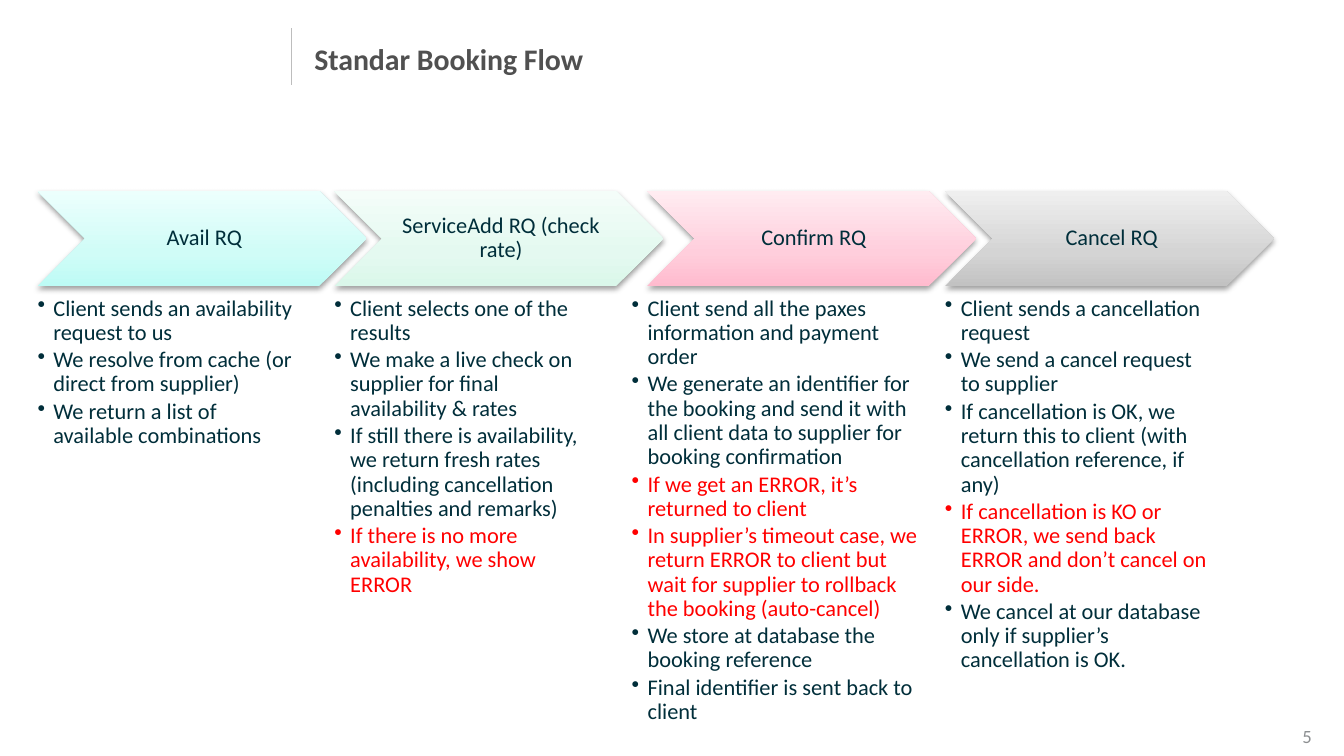
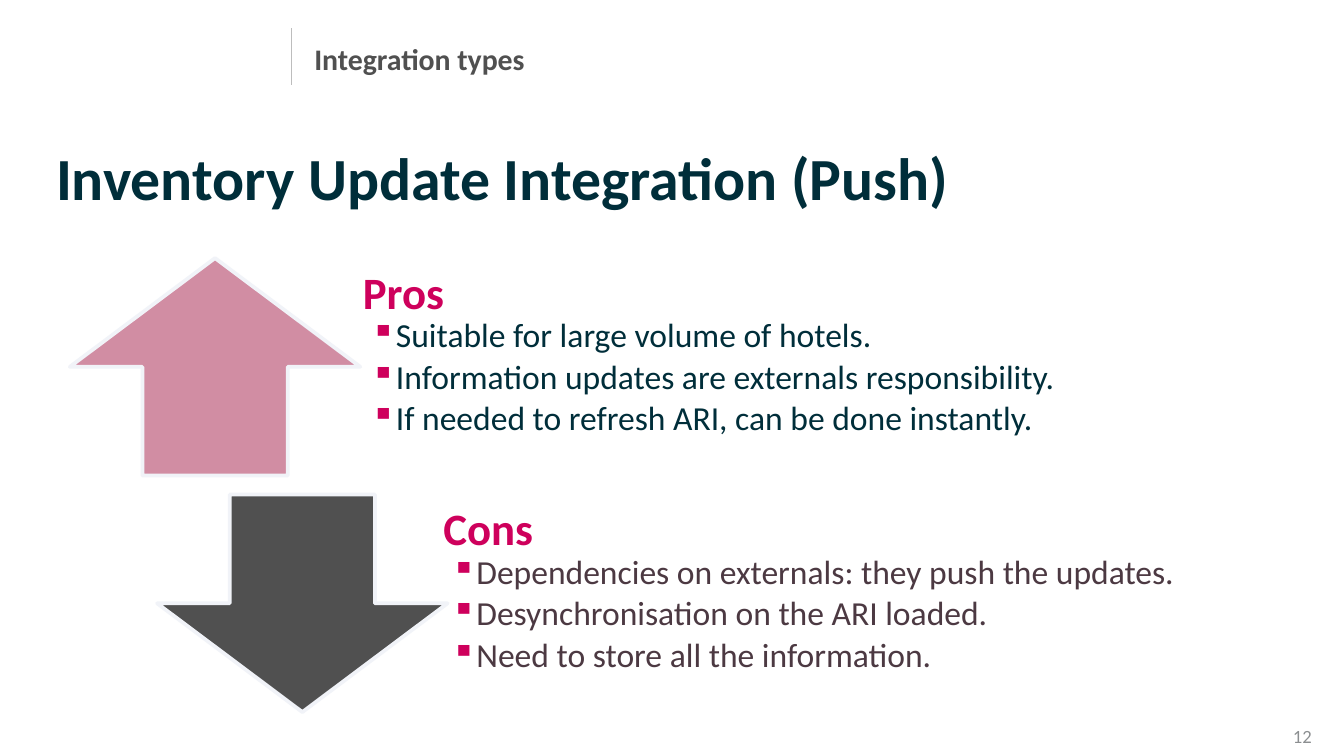
from copy import deepcopy
from dataclasses import dataclass
from typing import NamedTuple

from lxml import etree
from pptx import Presentation
from pptx import util as u
from pptx.dml.color import RGBColor
from pptx.enum import shapes, text
from pptx.oxml.ns import qn

Cm, Pt = u.Cm, u.Pt


@dataclass(frozen=True)
class Theme:
    font: str = "Calibri"
    ink: str = "002E3A"
    plum: str = "4C3942"
    pink: str = "CE005C"
    rose: str = "D18DA3"
    slate: str = "505050"
    error: str = "FF0000"
    rule: str = "BDBDBD"
    edge: str = "F1F3F8"
    page: str = "8C8F91"
    tiny: int = 10
    small: int = 12
    title: int = 16
    body: int = 18
    head: int = 24
    large: int = 32


THEME = Theme()


class Box(NamedTuple):
    """Left, top, width and height in centimetres."""
    left: float
    top: float
    width: float
    height: float

    def lengths(self) -> list:
        return [Cm(side) for side in self]


class Bullet(NamedTuple):
    mark: str
    left: float
    hang: float = 0
    color: str = ""


class Line(NamedTuple):
    text: str
    size: int
    color: str
    bold: bool = False
    align: text.PP_ALIGN = text.PP_ALIGN.LEFT
    space: float | u.Length = 1.0
    bullet: Bullet | None = None


class Step(NamedTuple):
    name: str
    left: float
    width: float
    shades: tuple[str, str, str]
    notes: list[str]


class Side(NamedTuple):
    name: str
    kind: shapes.MSO_SHAPE
    fill: str
    color: str
    arrow: Box
    box: Box
    points: list[str]


DOT = Bullet("•", 0.3, -0.3)
SQUARE = Bullet("▪", 0.15, 0, THEME.pink)
INSET = (0.25, 0.13, 0.25, 0.13)
TIGHT = 0.9
AFTER = 0.15
STEP_TOP, STEP_WIDE, STEP_HIGH = 3.61, 6.22, 1.8
LABEL_PAD = 0.89
NOTE_TOP, NOTE_WIDE, NOTE_HIGH = 5.61, 4.98, 9.4
SIDE_HIGH = 4.11

STEPS = [
    Step("Avail RQ", 0.71, NOTE_WIDE, ("BDFBF5", "D0FCF7", "ECFFFD"), [
        "Client sends an availability request to us",
        "We resolve from cache (or direct from supplier)",
        "We return a list of available combinations",
    ]),
    Step("ServiceAdd RQ (check rate)", 6.32, NOTE_WIDE,
         ("DAF7EA", "E4F9F0", "F4FDF9"), [
        "Client selects one of the results",
        "We make a live check on supplier for final availability & rates",
        "If still there is availability, we return fresh rates "
        "(including cancellation penalties and remarks)",
        "If there is no more availability, we show ERROR",
    ]),
    Step("Confirm RQ", 11.94, 5.56, ("FFBBCE", "FFCEDC", "FFECF1"), [
        "Client send all the paxes information and payment order",
        "We generate an identifier for the booking and send it with all "
        "client data to supplier for booking confirmation",
        "If we get an ERROR, it’s returned to client",
        "In supplier’s timeout case, we return ERROR to client but wait for "
        "supplier to rollback the booking (auto-cancel)",
        "We store at database the booking reference",
        "Final identifier is sent back to client",
    ]),
    Step("Cancel RQ", 17.86, NOTE_WIDE, ("C2C2C2", "D4D4D4", "EFEFEF"), [
        "Client sends a cancellation request",
        "We send a cancel request to supplier",
        "If cancellation is OK, we return this to client "
        "(with cancellation reference, if any)",
        "If cancellation is KO or ERROR, we send back ERROR "
        "and don’t cancel on our side.",
        "We cancel at our database only if supplier’s cancellation is OK.",
    ]),
]

SIDES = [
    Side("Pros", shapes.MSO_SHAPE.UP_ARROW, THEME.rose, THEME.ink,
         Box(1.32, 4.88, 5.49, SIDE_HIGH), Box(6.38, 4.88, 16.1, SIDE_HIGH), [
             "Suitable for large volume of hotels.",
             "Information updates are externals responsibility.",
             "If needed to refresh ARI, can be done instantly.",
         ]),
    Side("Cons", shapes.MSO_SHAPE.DOWN_ARROW, THEME.slate, THEME.plum,
         Box(2.97, 9.35, 5.49, SIDE_HIGH), Box(7.9, 9.35, 14.81, SIDE_HIGH), [
             "Dependencies on externals: they push the updates.",
             "Desynchronisation on the ARI loaded.",
             "Need to store all the information.",
         ]),
]


def rgb(code: str) -> RGBColor:
    return RGBColor.from_string(code)


def add_node(parent, tag: str, **attrs):
    return etree.SubElement(parent, qn(tag), attrs)


def set_bullet(para, bullet: Bullet) -> None:
    para.level = 1
    props = para._p.get_or_add_pPr()
    props.set("marL", str(Cm(bullet.left)))
    props.set("indent", str(Cm(bullet.hang)))
    if bullet.color:
        add_node(add_node(props, "a:buClr"), "a:srgbClr", val=bullet.color)
    add_node(props, "a:buChar", char=bullet.mark)


def add_text(slide, box: Box, lines: list[Line], inset=INSET,
             anchor=text.MSO_ANCHOR.TOP) -> None:
    frame = slide.shapes.add_textbox(*box.lengths()).text_frame
    frame.word_wrap = True
    frame.vertical_anchor = anchor
    (frame.margin_left, frame.margin_top,
     frame.margin_right, frame.margin_bottom) = map(Cm, inset)
    frame.text = "\n".join(line.text for line in lines)
    for para, line in zip(frame.paragraphs, lines):
        para.alignment = line.align
        para.line_spacing = line.space
        if line.bullet:
            para.space_after = Pt(line.size * AFTER)
            set_bullet(para, line.bullet)
        for run in para.runs:
            run.font.name = THEME.font
            run.font.size = Pt(line.size)
            run.font.bold = line.bold
            run.font.color.rgb = rgb(line.color)


def add_page(deck, title: str, number: int):
    """Add a slide with the shared rule, title and page number."""
    slide = deck.slides.add_slide(deck.slide_layouts[6])
    rule = slide.shapes.add_connector(
        shapes.MSO_CONNECTOR.STRAIGHT, Cm(5.51), Cm(0.53), Cm(5.51), Cm(1.6))
    rule.line.color.rgb = rgb(THEME.rule)
    rule.line.width = Pt(0.75)
    add_node(rule._element.spPr, "a:effectLst")
    add_text(slide, Box(22.5, 13.46, 2.54, 0.89),
             [Line(str(number), THEME.tiny, THEME.page,
                   align=text.PP_ALIGN.RIGHT)],
             anchor=text.MSO_ANCHOR.MIDDLE)
    add_text(slide, Box(5.69, 0.15, 18.95, 2.01),
             [Line(title, THEME.title, THEME.slate, True, space=Pt(16.8))],
             anchor=text.MSO_ANCHOR.MIDDLE)
    return slide


def add_shape(slide, kind: shapes.MSO_SHAPE, box: Box):
    shape = slide.shapes.add_shape(kind, *box.lengths())
    shape.shadow.inherit = False
    return shape


def shade(shape, colors: tuple[str, str, str]) -> None:
    """Fill from the bottom up with three colours."""
    shape.fill.gradient()
    shape.fill.gradient_angle = 90
    stops = shape._element.spPr.find(".//" + qn("a:gsLst"))
    stops.append(deepcopy(stops[-1]))
    for stop, place, color in zip(
            shape.fill.gradient_stops, (0, 0.35, 1), colors):
        stop.position = place
        stop.color.rgb = rgb(color)


def drop_shadow(shape) -> None:
    effects = shape._element.spPr.find(qn("a:effectLst"))
    outer = add_node(effects, "a:outerShdw", blurRad=str(Pt(3.1)),
                     dist=str(Pt(1.6)), dir="5400000", rotWithShape="0")
    color = add_node(outer, "a:srgbClr", val="000000")
    add_node(color, "a:alpha", val="38000")


def add_step(slide, step: Step) -> None:
    left = step.left + (step.width - NOTE_WIDE) / 2
    arrow = add_shape(slide, shapes.MSO_SHAPE.CHEVRON,
                      Box(left, STEP_TOP, STEP_WIDE, STEP_HIGH))
    shade(arrow, step.shades)
    arrow.line.fill.background()
    drop_shadow(arrow)
    add_text(slide, Box(left + LABEL_PAD, STEP_TOP,
                        STEP_WIDE - 2 * LABEL_PAD, STEP_HIGH),
             [Line(step.name, THEME.small, THEME.ink,
                   align=text.PP_ALIGN.CENTER, space=TIGHT)],
             (0.13, 0.05, 0.05, 0.05), text.MSO_ANCHOR.MIDDLE)
    notes = [Line(note, THEME.small,
                  THEME.error if "ERROR" in note else THEME.ink,
                  space=TIGHT, bullet=DOT) for note in step.notes]
    add_text(slide, Box(step.left, NOTE_TOP, step.width, NOTE_HIGH),
             notes, (0, 0, 0, 0))


def add_side(slide, side: Side) -> None:
    arrow = add_shape(slide, side.kind, side.arrow)
    arrow.fill.solid()
    arrow.fill.fore_color.rgb = rgb(side.fill)
    arrow.line.color.rgb = rgb(THEME.edge)
    arrow.line.width = Pt(2)
    lines = [Line(side.name, THEME.head, THEME.pink, True, space=TIGHT)]
    lines += [Line(point, THEME.body, side.color, space=TIGHT, bullet=SQUARE)
              for point in side.points]
    add_text(slide, side.box, lines, (0.48, 0, 0.48, 0.48),
             text.MSO_ANCHOR.MIDDLE)


def main() -> None:
    deck = Presentation()
    deck.slide_width, deck.slide_height = Cm(25.4), Cm(14.29)

    flow = add_page(deck, "Standar Booking Flow", 5)
    for step in STEPS:
        add_step(flow, step)

    push = add_page(deck, "Integration types", 12)
    add_text(push, Box(0.81, 2.54, 22.3, 1.24),
             [Line("Inventory Update Integration (Push)",
                   THEME.large, THEME.ink, True)])
    for side in SIDES:
        add_side(push, side)

    deck.save("out.pptx")


if __name__ == "__main__":
    main()
